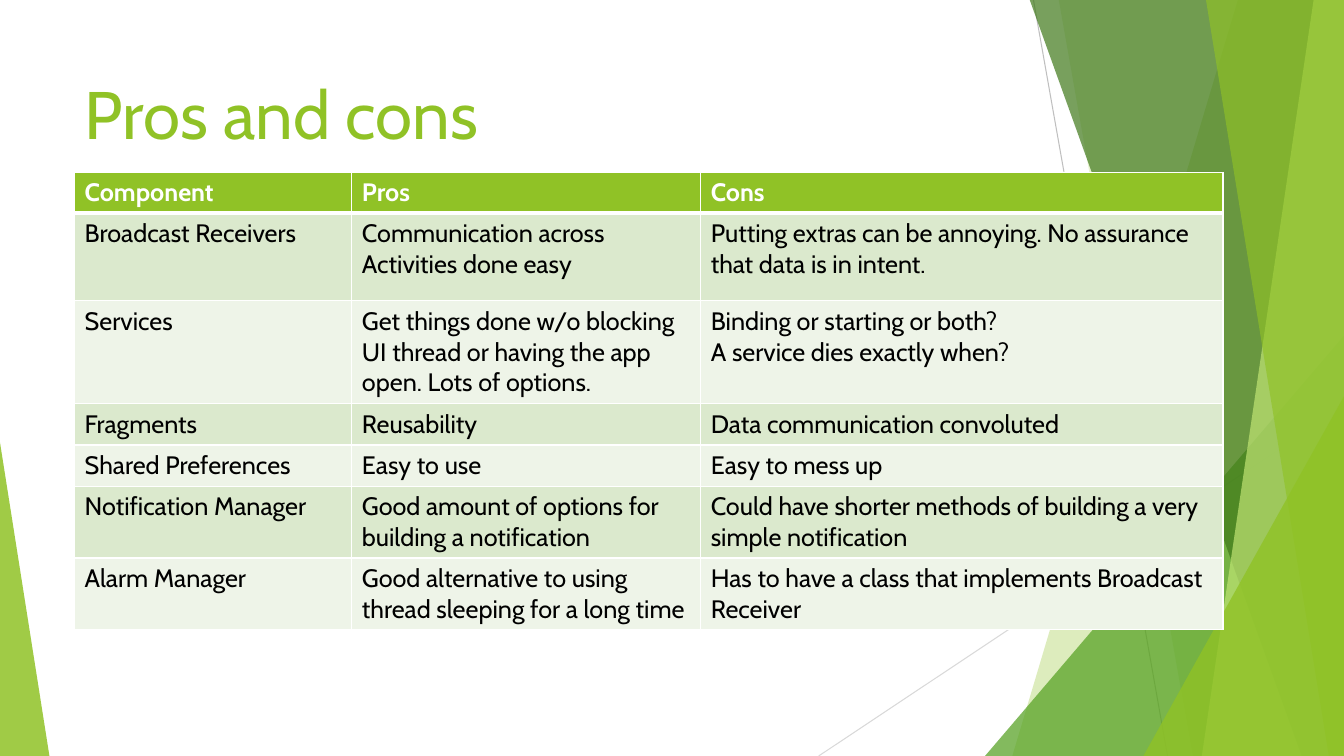
from lxml.etree import SubElement
from pptx import Presentation
from pptx.dml.color import RGBColor
from pptx.enum.shapes import MSO_CONNECTOR, MSO_SHAPE
from pptx.enum.text import MSO_ANCHOR, PP_ALIGN
from pptx.oxml.ns import qn
from pptx.util import Inches, Pt

GREEN, WHITE, BLACK = "90C226", "FFFFFF", "000000"
BANDS = ("DBE9CD", "EEF4E8")
TOP, RIGHT, BOTTOM = -0.01, 13.33, 7.5

# Facet lines: start x, start y, end x, end y, colour
LINES = [
    (10.25, 0, 11.58, 7.5, "BFBFBF"),
    (13.33, 4.03, 8.12, 7.5, "D9D9D9"),
]
# Facets reaching the right edge: top x, bottom x, colour, opacity
FACETS_BEHIND = [(12.28, 10.04, GREEN, 30), (10.5, 11.83, GREEN, 20)]
FACETS_FRONT = [
    (10.21, 12.91, "3F7819", 70),
    (13.03, 11.92, "C0E474", 70),
    (11.96, 13.18, GREEN, 65),
]

COLUMN_WIDTHS = (2.75, 3.46, 5.18)
ROW_HEIGHTS = (0.4, 0.87, 1.02, 0.41, 0.41, 0.71, 0.71)
ROWS = [
    ("Component", "Pros", "Cons"),
    ("Broadcast Receivers", "Communication across Activities done easy",
     "Putting extras can be annoying. No assurance that data is in intent."),
    ("Services",
     "Get things done w/o blocking UI thread or having the app open. Lots of options.",
     "Binding or starting or both?\nA service dies exactly when?"),
    ("Fragments", "Reusability", "Data communication convoluted"),
    ("Shared Preferences", "Easy to use", "Easy to mess up"),
    ("Notification Manager", "Good amount of options for building a notification",
     "Could have shorter methods of building a very simple notification"),
    ("Alarm Manager", "Good alternative to using thread sleeping for a long time",
     "Has to have a class that implements Broadcast Receiver"),
]


def color(code):
    return RGBColor.from_string(code)


def set_values(target, values):
    for name, value in values.items():
        setattr(target, name, value)


def write(frame, text, size, code, bold=False):
    frame.text = text
    for para in frame.paragraphs:
        para.alignment = PP_ALIGN.LEFT
        for span in para.runs:
            set_values(span.font, {"name": "Cabin", "size": Pt(size), "bold": bold})
            span.font.color.rgb = color(code)


def paint(shape, code, opacity):
    shape.shadow.inherit = False
    shape.line.fill.background()
    shape.fill.solid()
    shape.fill.fore_color.rgb = color(code)
    fill = shape.fill._xPr.find(qn("a:solidFill"))
    SubElement(fill[0], qn("a:alpha"), val=str(opacity * 1000))


def add_line(page, x1, y1, x2, y2, code):
    line = page.shapes.add_connector(
        MSO_CONNECTOR.STRAIGHT, Inches(x1), Inches(y1), Inches(x2), Inches(y2))
    line.line.color.rgb = color(code)
    line.line.width = Pt(0.75)
    SubElement(line._element.spPr, qn("a:effectLst"))


def add_facet(page, top_x, bottom_x, code, opacity):
    builder = page.shapes.build_freeform(Inches(top_x), Inches(TOP))
    corners = [(RIGHT, TOP), (RIGHT, BOTTOM), (bottom_x, BOTTOM)]
    builder.add_line_segments([(Inches(x), Inches(y)) for x, y in corners], close=True)
    paint(builder.convert_to_shape(), code, opacity)


def add_triangle(page, left, top, width, apex, code, opacity):
    shape = page.shapes.add_shape(
        MSO_SHAPE.ISOSCELES_TRIANGLE,
        Inches(left), Inches(top), Inches(width), Inches(BOTTOM - top))
    shape.adjustments[0] = apex
    paint(shape, code, opacity)


def add_decoration(page):
    for line in LINES:
        add_line(page, *line)
    for facet in FACETS_BEHIND:
        add_facet(page, *facet)
    add_triangle(page, 9.77, 3.33, 3.56, 1, "54A021", 72)
    for facet in FACETS_FRONT:
        add_facet(page, *facet)
    add_triangle(page, 11.34, 3.93, 1.99, 1, GREEN, 80)
    add_triangle(page, 0, 4.39, 0.49, 0, GREEN, 85)


def add_title(page, text):
    title = page.shapes.title
    set_values(title, {"left": Inches(0.74), "top": Inches(0.67),
                       "width": Inches(9.4), "height": Inches(1.44)})
    set_values(title.text_frame, {"word_wrap": True, "vertical_anchor": MSO_ANCHOR.TOP})
    write(title.text_frame, text, 48, GREEN)
    # Bring the title in front of the decoration
    page.shapes._spTree.append(title._element)


def set_borders(cell, widths):
    properties = cell._tc.get_or_add_tcPr()
    for side, width in widths.items():
        border = SubElement(properties, qn(f"a:ln{side}"), w=str(Pt(width)))
        fill = SubElement(border, qn("a:solidFill"))
        SubElement(fill, qn("a:srgbClr"), val=WHITE)


def add_comparison(page):
    frame = page.shapes.add_table(
        len(ROWS), len(COLUMN_WIDTHS), Inches(0.74), Inches(1.71),
        Inches(sum(COLUMN_WIDTHS)), Inches(sum(ROW_HEIGHTS)))
    table = frame.table
    for column, width in zip(table.columns, COLUMN_WIDTHS):
        column.width = Inches(width)
    for index, (row, height) in enumerate(zip(table.rows, ROW_HEIGHTS)):
        row.height = Inches(height)
        header = index == 0
        background = GREEN if header else BANDS[(index - 1) % 2]
        # The rule under the header is thicker
        borders = {"L": 1, "R": 1, "T": 3 if index == 1 else 1, "B": 3 if header else 1}
        for cell, text in zip(row.cells, ROWS[index]):
            set_borders(cell, borders)
            cell.fill.solid()
            cell.fill.fore_color.rgb = color(background)
            write(cell.text_frame, text, 18, WHITE if header else BLACK, header)


def main():
    deck = Presentation()
    set_values(deck, {"slide_width": Inches(13.33), "slide_height": Inches(7.5)})
    page = deck.slides.add_slide(deck.slide_layouts[5])
    add_decoration(page)
    add_title(page, "Pros and cons")
    add_comparison(page)
    deck.save("out.pptx")


if __name__ == "__main__":
    main()
